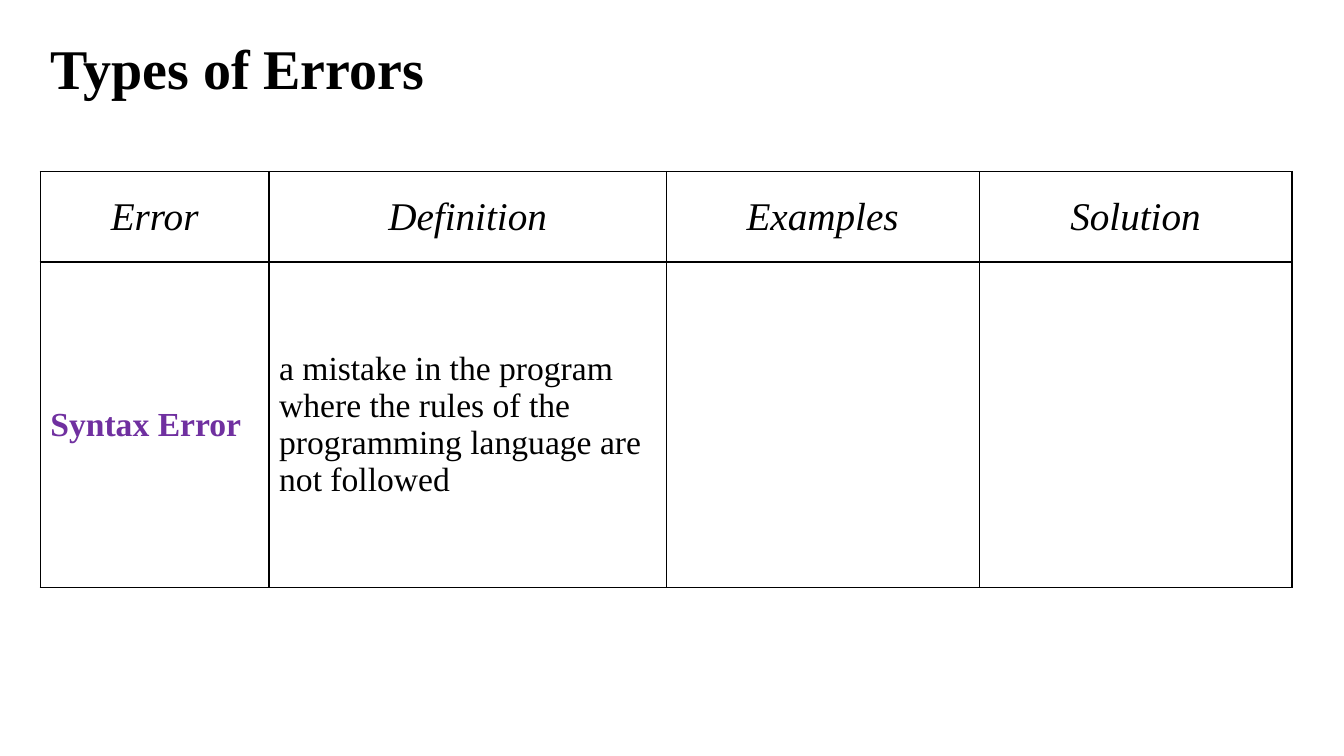
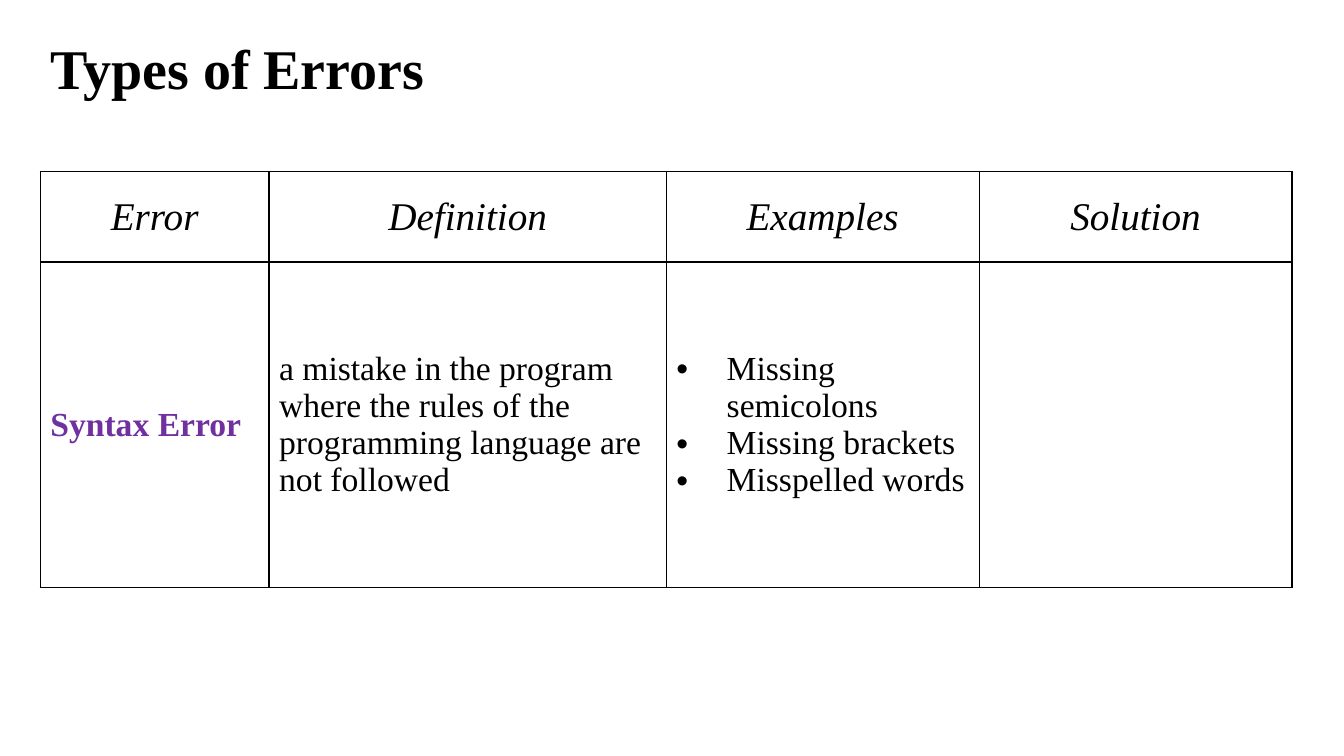
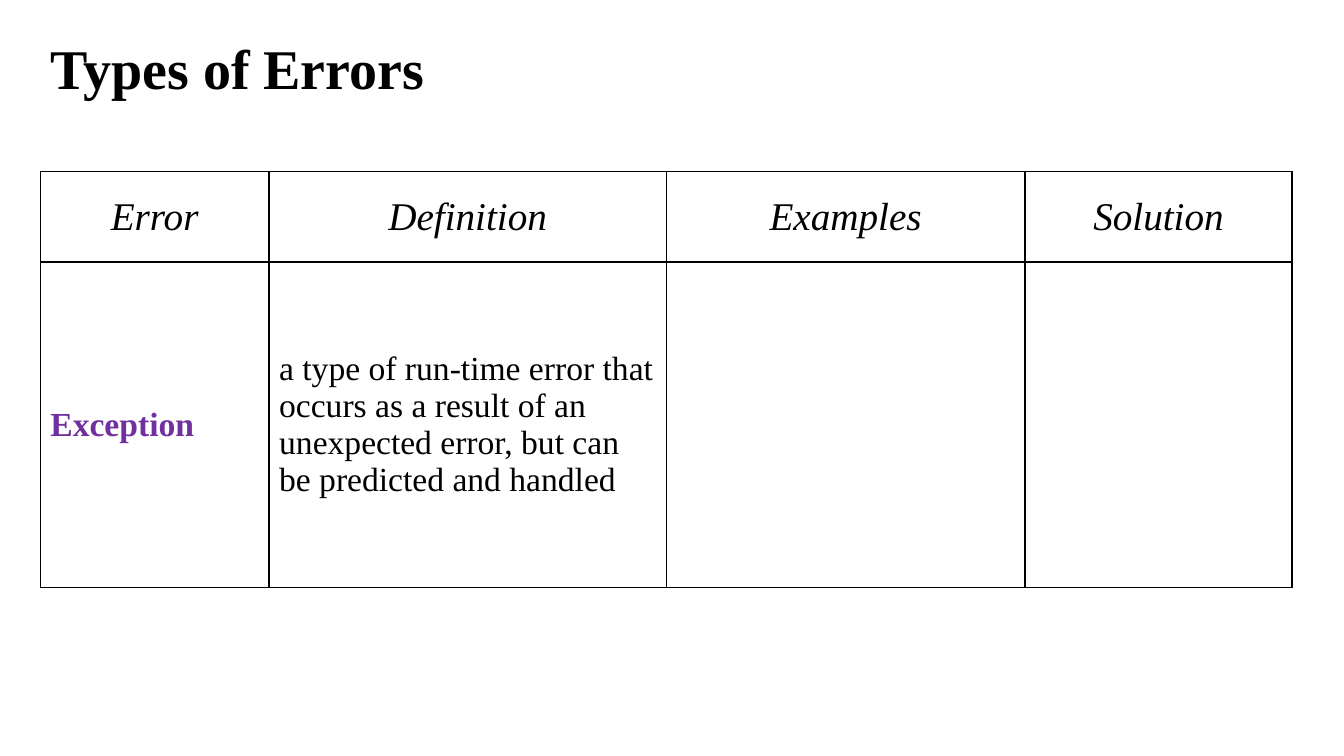
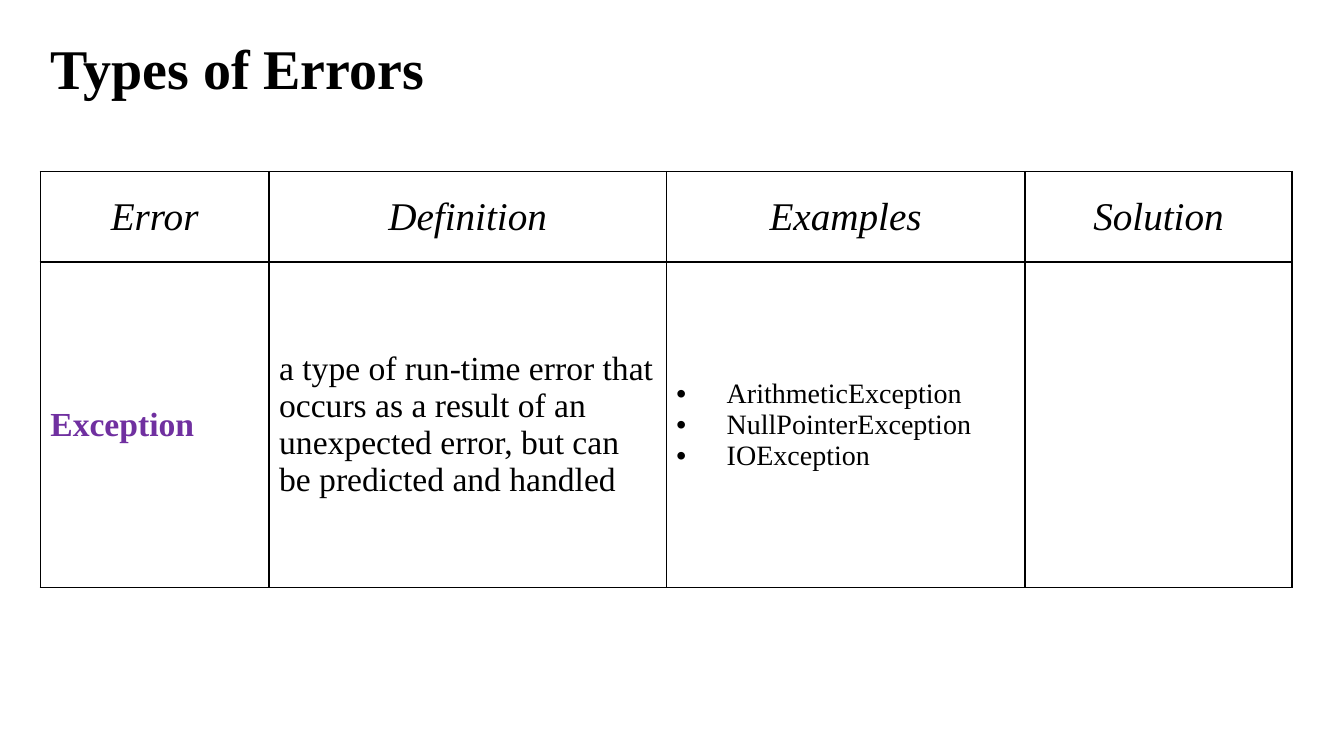
from lxml.etree import SubElement
from pptx import Presentation
from pptx.dml.color import RGBColor
from pptx.enum.text import MSO_ANCHOR as Anchor, MSO_AUTO_SIZE as AutoSize, PP_ALIGN as Align
from pptx.oxml import parse_xml
from pptx.oxml.ns import nsdecls, qn
from pptx.util import Pt

BLACK = RGBColor(0x00, 0x00, 0x00)
PURPLE = RGBColor(0x70, 0x30, 0xA0)
FONT = "Times New Roman"

LEFT = 28.8
TABLE_TOP = 122.4
ROW_HEIGHTS = (64.8, 232.6)
EVEN_COLUMNS = (163.4, 283.7, 223.5, 223.5)
WIDE_EXAMPLES = (163.4, 283.7, 256.3, 190.7)
BULLET_INDENT = 36

HEADINGS = ("Error", "Definition", "Examples", "Solution")
SYNTAX_ERROR = (
    "Syntax Error",
    "a mistake in the program where the rules of the programming language are not followed",
)
EXCEPTION = (
    "Exception",
    "a type of run-time error that occurs as a result of an unexpected error, "
    "but can be predicted and handled",
)


def add_bullet(paragraph):
    properties = paragraph._p.get_or_add_pPr()
    properties.set("marL", str(Pt(BULLET_INDENT)))
    properties.set("indent", str(-Pt(BULLET_INDENT)))
    SubElement(properties, qn("a:buFont")).set("typeface", "Arial")
    SubElement(properties, qn("a:buChar")).set("char", "•")


def write(frame, *lines, size=24, color=BLACK, bold=False, italic=False,
          align=Align.LEFT, bullets=False):
    """Fill a text frame with one paragraph per line."""
    for index, line in enumerate(lines):
        paragraph = frame.add_paragraph() if index else frame.paragraphs[0]
        paragraph.alignment = align
        if bullets:
            add_bullet(paragraph)
        run = paragraph.add_run()
        run.text = line
        font = run.font
        font.name, font.size = FONT, Pt(size)
        font.bold, font.italic = bold, italic
        font.color.rgb = color


def add_title(slide, text):
    title = slide.shapes.add_textbox(Pt(LEFT), Pt(20.2), Pt(480), Pt(55.4))
    title.text_frame.word_wrap = True
    title.text_frame.auto_size = AutoSize.SHAPE_TO_FIT_TEXT
    write(title.text_frame, text, size=40, bold=True)


def style_cell(cell):
    """Clear the fill and draw a thin black border on every side."""
    cell.vertical_anchor = Anchor.MIDDLE
    cell.fill.background()
    properties = cell._tc.get_or_add_tcPr()
    for index, side in enumerate("LRTB"):
        properties.insert(index, parse_xml(
            f'<a:ln{side} {nsdecls("a")} w="{Pt(1)}"><a:solidFill>'
            f'<a:srgbClr val="{BLACK}"/></a:solidFill></a:ln{side}>'))


def add_error_table(slide, error, definition, examples, widths, example_size):
    table = slide.shapes.add_table(
        len(ROW_HEIGHTS), len(widths), Pt(LEFT), Pt(TABLE_TOP),
        Pt(sum(widths)), Pt(sum(ROW_HEIGHTS))).table
    table.first_row = table.horz_banding = False
    for column, width in zip(table.columns, widths):
        column.width = Pt(width)
    for row, height in zip(table.rows, ROW_HEIGHTS):
        row.height = Pt(height)
    for cell in table.iter_cells():
        style_cell(cell)

    for column, heading in enumerate(HEADINGS):
        write(table.cell(0, column).text_frame, heading,
              size=28, italic=True, align=Align.CENTER)
    write(table.cell(1, 0).text_frame, error, color=PURPLE, bold=True)
    write(table.cell(1, 1).text_frame, definition)
    write(table.cell(1, 2).text_frame, *examples, size=example_size, bullets=True)


def add_error_slide(deck, kind, widths, examples=(), example_size=24):
    slide = deck.slides.add_slide(deck.slide_layouts[6])
    add_title(slide, "Types of Errors")
    error, definition = kind
    add_error_table(slide, error, definition, examples, widths, example_size)


def main():
    deck = Presentation()
    deck.slide_width, deck.slide_height = Pt(960), Pt(540)
    add_error_slide(deck, SYNTAX_ERROR, EVEN_COLUMNS)
    add_error_slide(deck, SYNTAX_ERROR, EVEN_COLUMNS,
                    ("Missing semicolons", "Missing brackets", "Misspelled words"))
    add_error_slide(deck, EXCEPTION, WIDE_EXAMPLES)
    add_error_slide(deck, EXCEPTION, WIDE_EXAMPLES,
                    ("ArithmeticException", "NullPointerException", "IOException"),
                    example_size=20)
    deck.save("out.pptx")


if __name__ == "__main__":
    main()
